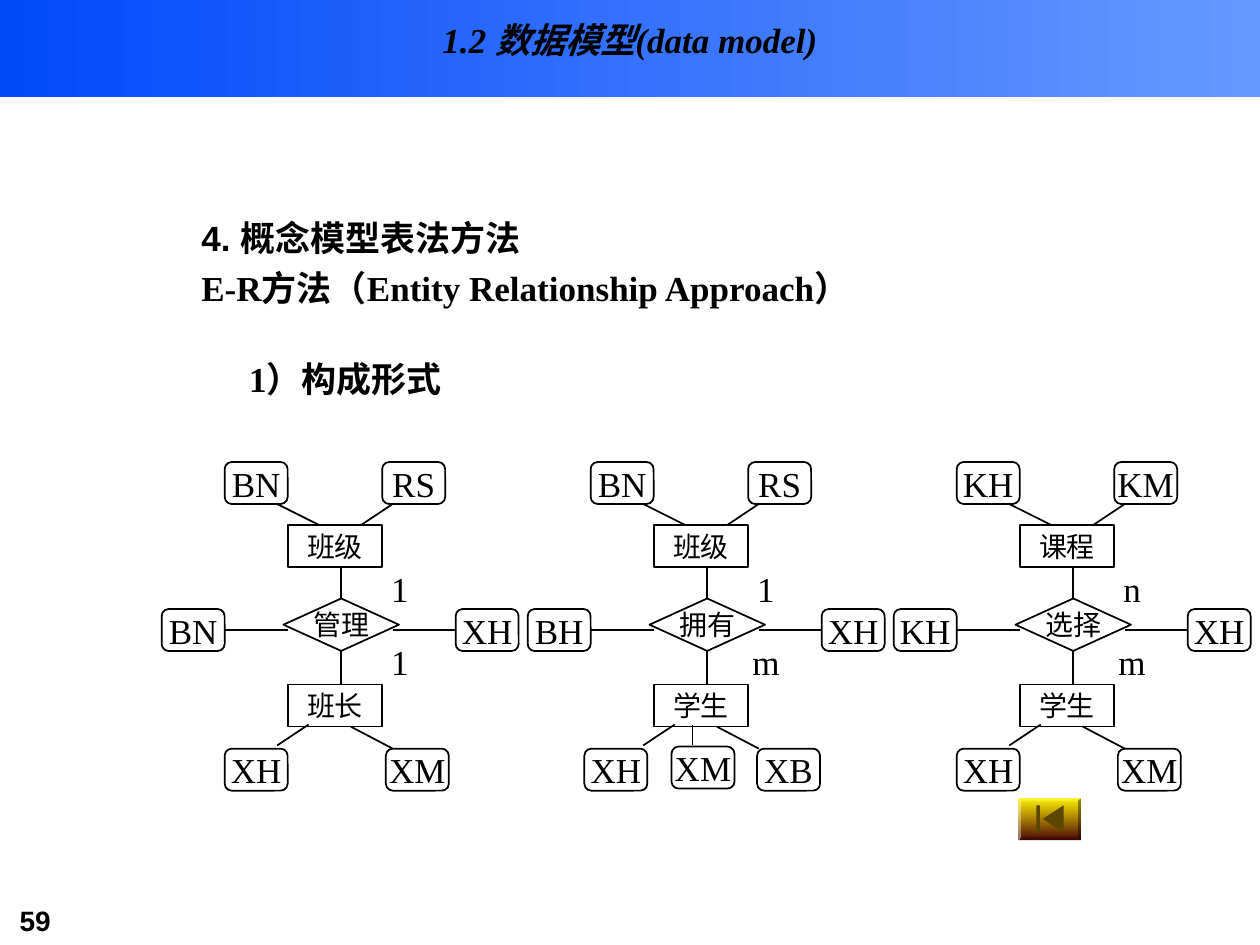
from dataclasses import dataclass

from lxml import etree
from pptx import Presentation
from pptx.dml.color import RGBColor
from pptx.enum.shapes import MSO_CONNECTOR, MSO_SHAPE
from pptx.enum.text import MSO_ANCHOR, PP_ALIGN
from pptx.oxml.ns import qn
from pptx.util import Inches, Pt

STRAIGHT = MSO_CONNECTOR.STRAIGHT
RECTANGLE = MSO_SHAPE.RECTANGLE
ROUNDED = MSO_SHAPE.FLOWCHART_ALTERNATE_PROCESS
DIAMOND = MSO_SHAPE.FLOWCHART_DECISION
BEVEL = MSO_SHAPE.BEVEL
MIDDLE = MSO_ANCHOR.MIDDLE
CENTER, JUSTIFY = PP_ALIGN.CENTER, PP_ALIGN.JUSTIFY
TOP, LEFT, BOTTOM, RIGHT = range(4)

SERIF, SANS = "Times New Roman", "Arial"
COLORS = {
    "ink": "000000",
    "band_start": "0249FA",
    "band_end": "6699FF",
    "button_top": "FFF200",
    "button_bottom": "4D0808",
    "button_icon": "5C4700",
}

# The slide is a grid of 120 columns by 90 rows, twelve to the inch.
FIRST_DIAGRAM, DIAGRAM_PITCH = 27.4, 34.86
ATTRIBUTE_SIZE = (6, 4)
ENTITY_SIZE = (9, 4)
UPPER_ROW, LOWER_ROW = 50, 65.2


@dataclass(frozen=True)
class Attribute:
    """A rounded box and, when slanted, the line from it to its entity."""
    name: str
    col: float
    row: float
    line: tuple[float, float, float, float]


@dataclass(frozen=True)
class Diagram:
    upper: str
    relation: str
    lower: str
    upper_count: str
    lower_count: str
    sides: tuple[str, str]
    attributes: tuple[Attribute, ...]


def upper_pair(left: str, right: str) -> tuple[Attribute, ...]:
    return (Attribute(left, -6, 44, (-1, 48, 3, 50)),
            Attribute(right, 9, 44, (7, 50, 10, 48)))


def lower_pair(left: str, right: str, left_col: float = -6,
               right_col: float = 9.35) -> tuple[Attribute, ...]:
    return (Attribute(left, left_col, 71.3, (-1, 71, 2, 69)),
            Attribute(right, right_col, 71.3, (6, 69.2, 10, 71.3)))


DIAGRAMS = (
    Diagram("班级", "管理", "班长", "1", "1", ("BN", "XH"),
            upper_pair("BN", "RS") + lower_pair("XH", "XM")),
    Diagram("班级", "拥有", "学生", "1", "m", ("BH", "XH"),
            upper_pair("BN", "RS") + lower_pair("XH", "XB", -6.6, 9.85)
            + (Attribute("XM", 1.7, 71.1, (3.7, 69, 3.7, 71)),)),
    Diagram("课程", "选择", "学生", "n", "m", ("KH", "XH"),
            upper_pair("KH", "KM") + lower_pair("XH", "XM")),
)


def units(*cells: float) -> list[int]:
    return [Inches(cell / 12) for cell in cells]


def rgb(name: str) -> RGBColor:
    return RGBColor.from_string(COLORS[name])


def add_run(paragraph, text: str, size: float, face: str = SERIF,
            bold: bool = False, italic: bool = False) -> None:
    run = paragraph.add_run()
    run.text = text
    font = run.font
    font.size, font.name, font.bold, font.italic = Pt(size), face, bold, italic
    font.color.rgb = rgb("ink")


def set_gradient(shape, start: str, end: str, angle: float) -> None:
    shape.shadow.inherit = False
    shape.line.fill.background()
    shape.fill.gradient()
    shape.fill.gradient_angle = angle
    for stop, name in zip(shape.fill.gradient_stops, (start, end)):
        stop.color.rgb = rgb(name)


def add_node(slide, kind, cells: tuple[float, ...], text: str,
             size: float = 20, outlined: bool = True):
    node = slide.shapes.add_shape(kind, *units(*cells))
    node.shadow.inherit = False
    node.fill.background()
    if outlined:
        node.line.color.rgb = rgb("ink")
        node.line.width = Pt(1)
    else:
        node.line.fill.background()
    frame = node.text_frame
    frame.word_wrap = False
    frame.vertical_anchor = MIDDLE
    frame.paragraphs[0].alignment = CENTER
    add_run(frame.paragraphs[0], text, size)
    return node


def add_line(slide, *ends: float):
    line = slide.shapes.add_connector(STRAIGHT, *units(*ends))
    line.line.color.rgb = rgb("ink")
    line.line.width = Pt(1)
    etree.SubElement(line._element.spPr, qn("a:effectLst"))
    return line


def draw_diagram(slide, diagram: Diagram, x: float) -> None:
    for name, row in ((diagram.upper, UPPER_ROW), (diagram.lower, LOWER_ROW)):
        add_node(slide, RECTANGLE, (x, row, *ENTITY_SIZE), name, 16)
    relation = add_node(slide, DIAMOND, (x - 0.4, 57, 11, 5), diagram.relation, 16)
    axis = x + 5.1
    add_line(slide, axis, 54, axis, 57).end_connect(relation, TOP)
    add_line(slide, axis, 62, axis, LOWER_ROW).begin_connect(relation, BOTTOM)

    left, right = (add_node(slide, ROUNDED, (x + col, 58, *ATTRIBUTE_SIZE), name)
                   for name, col in zip(diagram.sides, (-12, 16)))
    add_line(slide, x - 6, 60, x, 60).begin_connect(left, RIGHT)
    add_line(slide, x + 10, 60, x + 16, 60).end_connect(right, LEFT)

    for item in diagram.attributes:
        add_node(slide, ROUNDED, (x + item.col, item.row, *ATTRIBUTE_SIZE), item.name)
        x1, y1, x2, y2 = item.line
        add_line(slide, x + x1, y1, x + x2, y2)
    for count, row in ((diagram.upper_count, 54), (diagram.lower_count, 61)):
        add_node(slide, ROUNDED, (x + 7.7, row, *ATTRIBUTE_SIZE), count, outlined=False)


def draw_heading(slide) -> None:
    band = slide.shapes.add_shape(RECTANGLE, *units(0, 0, 120, 9.24))
    set_gradient(band, "band_start", "band_end", 0)
    slide.shapes._spTree.insert(2, band._element)  # behind the title
    title = slide.shapes.title
    title.left, title.top, title.width, title.height = units(9, 0, 102, 7.5)
    title.text_frame.vertical_anchor = MIDDLE
    paragraph = title.text_frame.paragraphs[0]
    paragraph.alignment = CENTER
    add_run(paragraph, "1.2 数据模型(data model)", 20, bold=True, italic=True)


def draw_body(slide) -> None:
    frame = slide.shapes.add_textbox(*units(18, 20, 102, 20)).text_frame
    frame.word_wrap = True
    lines = (("4. 概念模型表法方法", SANS, 5, -0.38),
             ("E-R方法（Entity Relationship Approach）", SERIF, 5, -0.38),
             ("1）构成形式", SERIF, 28, 0))
    for index, (text, face, gap, indent) in enumerate(lines):
        paragraph = frame.add_paragraph() if index else frame.paragraphs[0]
        paragraph.alignment = JUSTIFY
        paragraph.space_before = Pt(gap)
        properties = paragraph._p.get_or_add_pPr()
        properties.set("marL", str(Inches(0.38)))
        properties.set("indent", str(Inches(indent)))
        add_run(paragraph, text, 20, face, bold=True)


def draw_button(slide) -> None:
    """Draw the return button: bevelled plate, bar and left-pointing triangle."""
    plate = slide.shapes.add_shape(BEVEL, *units(97, 76, 6, 4))
    plate.adjustments[0] = 0.07
    set_gradient(plate, "button_top", "button_bottom", 270)
    bar = slide.shapes.add_shape(RECTANGLE, *units(98.7, 76.7, 0.35, 2.6))
    tip, *corners = [tuple(units(*point)) for point in
                     ((99.3, 78), (101.3, 76.7), (101.3, 79.3))]
    outline = slide.shapes.build_freeform(*tip)
    outline.add_line_segments(corners, close=True)
    for icon in (bar, outline.convert_to_shape()):
        icon.shadow.inherit = False
        icon.line.fill.background()
        icon.fill.solid()
        icon.fill.fore_color.rgb = rgb("button_icon")


def main() -> None:
    deck = Presentation()
    deck.slide_width, deck.slide_height = units(120, 90)
    slide = deck.slides.add_slide(deck.slide_layouts[5])
    draw_heading(slide)
    draw_body(slide)
    for index, diagram in enumerate(DIAGRAMS):
        draw_diagram(slide, diagram, FIRST_DIAGRAM + index * DIAGRAM_PITCH)
    draw_button(slide)
    page = slide.shapes.add_textbox(*units(0.7, 85.5, 14.6, 4.5)).text_frame
    page.word_wrap = True
    add_run(page.paragraphs[0], "59", 16, SANS, bold=True)
    deck.save("out.pptx")


if __name__ == "__main__":
    main()
